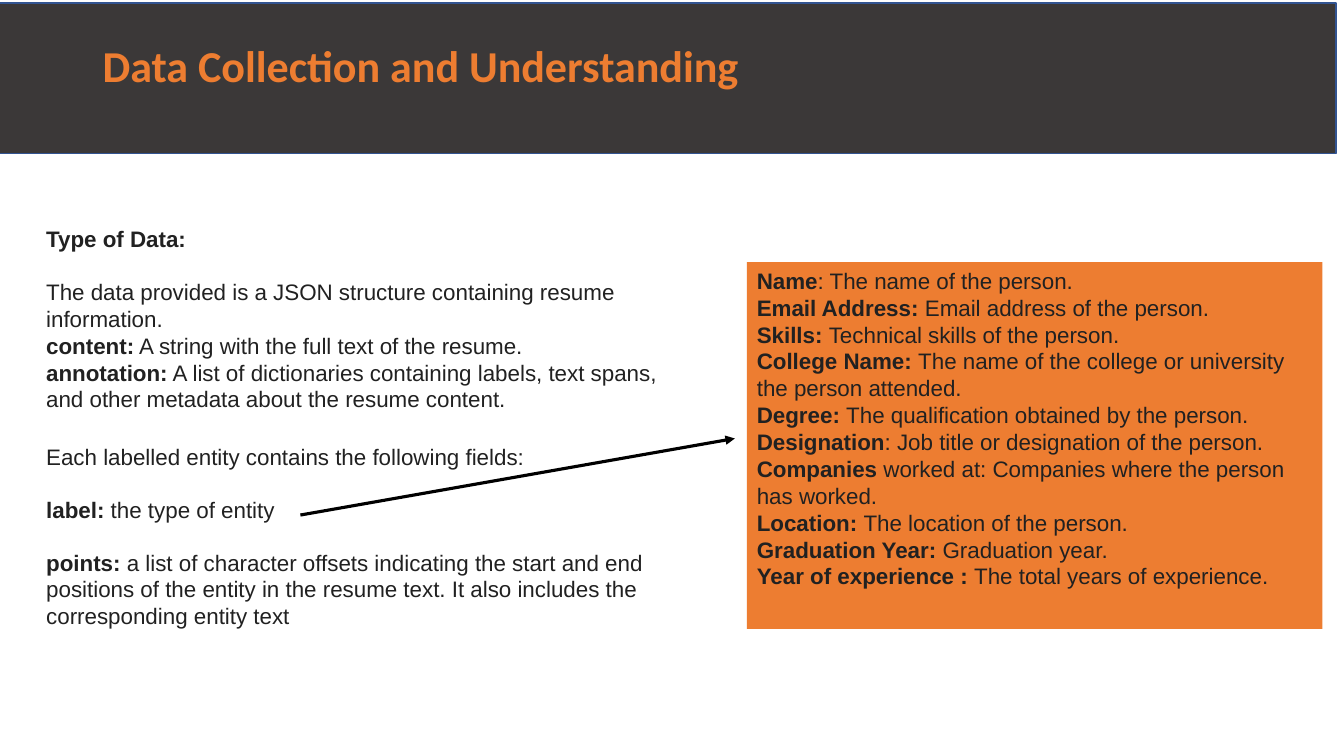
from lxml.etree import SubElement
from pptx import Presentation
from pptx.dml.color import RGBColor
from pptx.enum.shapes import MSO_CONNECTOR as Connector, MSO_SHAPE as Shape
from pptx.enum.text import MSO_ANCHOR as Anchor, PP_ALIGN as Align
from pptx.oxml.ns import qn
from pptx.util import Pt

ORANGE = RGBColor(0xED, 0x7D, 0x31)
CHARCOAL = RGBColor(0x3B, 0x38, 0x38)
BLUE = RGBColor(0x32, 0x54, 0x91)
INK = RGBColor(0x21, 0x21, 0x21)
WHITE = RGBColor(0xFF, 0xFF, 0xFF)
BLACK = RGBColor(0, 0, 0)

TITLE = [("Data Collection and Understanding", "")]
ENTITY_LABELS = [
    ("Name", ": The name of the person."),
    ("Email Address: ", "Email address of the person."),
    ("Skills: ", "Technical skills of the person."),
    ("College Name: ", "The name of the college or university the person attended."),
    ("Degree: ", "The qualification obtained by the person."),
    ("Designation", ": Job title or designation of the person."),
    ("Companies ", "worked at: Companies where the person has worked."),
    ("Location: ", "The location of the person."),
    ("Graduation Year: ", "Graduation year."),
    ("Year of experience : ", "The total years of experience."),
]
DATA_TYPE = [
    ("Type of Data:", ""),
    ("", "The data provided is a JSON structure containing resume information."),
    ("content:", " A string with the full text of the resume."),
    ("annotation:", " A list of dictionaries containing labels, text spans, "
                    "and other metadata about the resume content."),
]
ENTITY_FIELDS = [
    ("", "Each labelled entity contains the following fields:"),
    ("label:", " the type of entity"),
    ("points:", " a list of character offsets indicating the start and end positions "
                "of the entity in the resume text. It also includes the corresponding entity text"),
]

LABELS_BOX = (533.5, 187.2, 411.1, 262.1)
HEADER_BOX = (-5.8, 2.2, 960, 107.3)
TITLE_BOX = (66.2, 26.6, 802.8, 79.2)
DATA_BOX = (25.9, 156.2, 473, 143.3)
FIELDS_BOX = (25.9, 313.2, 483.1, 143.3)
ARROW = (214.6, 367.9, 524.9, 313.2)
LINE_GAP = 18.4


def add_box(slide, box, fill, line=None):
    shape = slide.shapes.add_shape(Shape.RECTANGLE, *map(Pt, box))
    shape.shadow.inherit = False
    shape.fill.solid()
    shape.fill.fore_color.rgb = fill
    if line is None:
        shape.line.fill.background()
    else:
        shape.line.color.rgb = line
        shape.line.width = Pt(1)
    return shape


def write_text(shape, entries, size=16, font="Arial", color=INK, anchor=Anchor.TOP,
               spacing=1.0, gaps=(), inset=3.6):
    frame = shape.text_frame
    frame.word_wrap = True
    frame.vertical_anchor = anchor
    frame.margin_top = Pt(inset)
    for index, entry in enumerate(entries):
        paragraph = frame.paragraphs[0] if index == 0 else frame.add_paragraph()
        paragraph.alignment = Align.LEFT
        paragraph.line_spacing = spacing
        if index in gaps:
            paragraph.space_before = Pt(LINE_GAP)
        for text, bold in zip(entry, (True, False)):
            if text:
                run = paragraph.add_run()
                run.text = text
                run.font.size = Pt(size)
                run.font.name = font
                run.font.bold = bold
                run.font.color.rgb = color


def add_arrow(slide, ends):
    arrow = slide.shapes.add_connector(Connector.STRAIGHT, *map(Pt, ends))
    arrow.line.color.rgb = BLACK
    arrow.line.width = Pt(2.25)
    SubElement(arrow.line._get_or_add_ln(), qn("a:tailEnd"), type="triangle")
    SubElement(arrow._element.spPr, qn("a:effectLst"))


def main():
    presentation = Presentation()
    presentation.slide_width, presentation.slide_height = Pt(960), Pt(540)
    slide = presentation.slides.add_slide(presentation.slide_layouts[6])

    write_text(add_box(slide, LABELS_BOX, ORANGE), ENTITY_LABELS)
    add_box(slide, HEADER_BOX, CHARCOAL, line=BLUE)
    title = slide.shapes.add_textbox(*map(Pt, TITLE_BOX))
    write_text(title, TITLE, size=31.5, font="Calibri", color=ORANGE, spacing=0.9, inset=5)
    write_text(add_box(slide, DATA_BOX, WHITE), DATA_TYPE, anchor=Anchor.MIDDLE, gaps=(1,))
    fields = slide.shapes.add_textbox(*map(Pt, FIELDS_BOX))
    write_text(fields, ENTITY_FIELDS, gaps=(1, 2))
    add_arrow(slide, ARROW)

    presentation.save("out.pptx")


if __name__ == "__main__":
    main()
